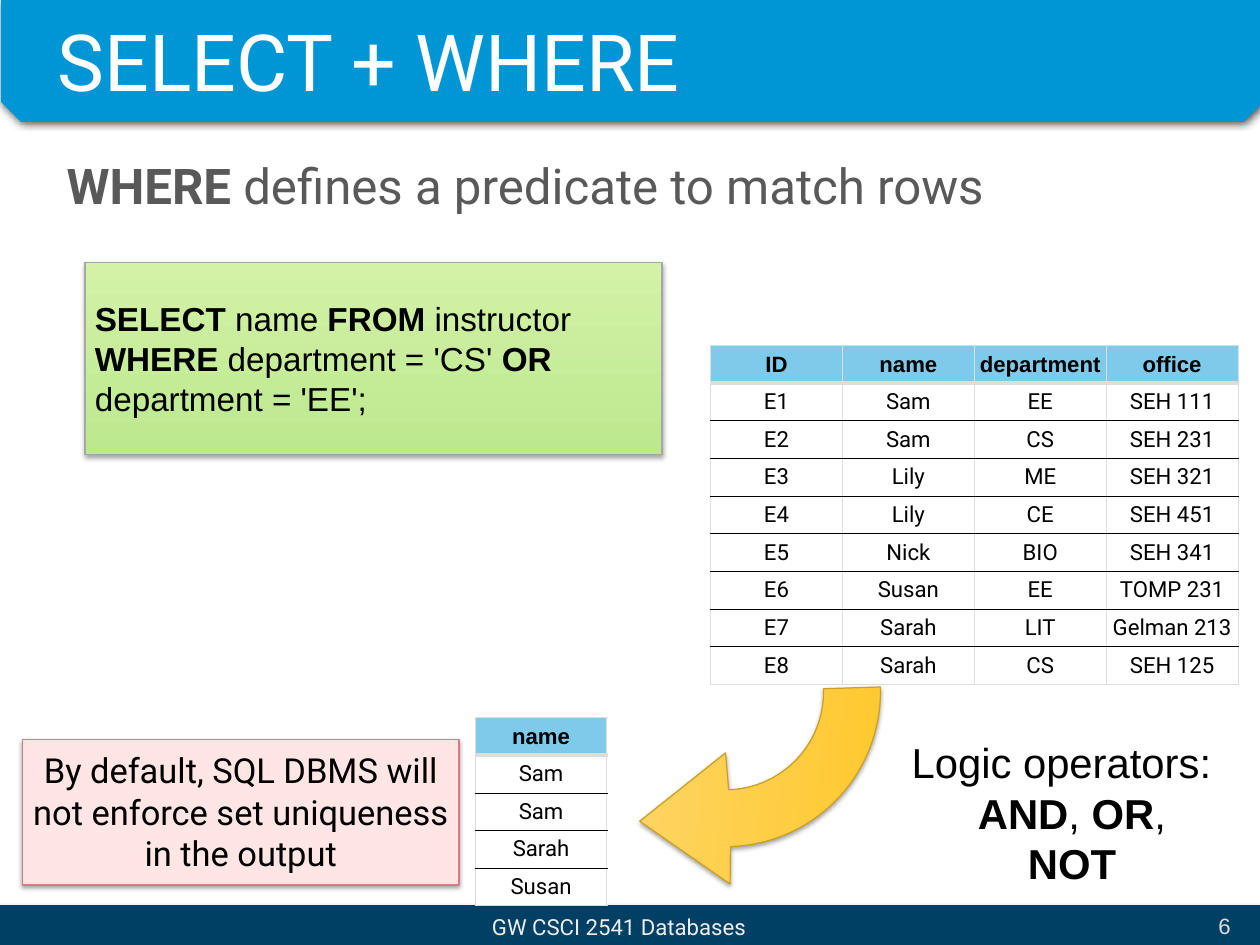
from math import cos, radians, sin

from lxml.etree import SubElement
from pptx import Presentation
from pptx.dml.color import RGBColor as RGB
from pptx.enum.shapes import MSO_SHAPE as Preset
from pptx.enum.text import MSO_ANCHOR as Anchor, PP_ALIGN as Align
from pptx.oxml.ns import qn
from pptx.util import Cm, Pt

# Content: every line is a list of (text, bold) runs
TITLE = [[("SELECT + WHERE", False)]]
LEAD = [[("WHERE", True), (" defines a predicate to match rows", False)]]
QUERY = [[("SELECT", True), (" name ", False), ("FROM", True), (" instructor ", False),
          ("WHERE", True), (" department = 'CS' ", False), ("OR", True),
          (" department = 'EE';", False)]]
OPERATORS = [[("Logic operators:", False)],
             [("AND", True), (", ", False), ("OR", True), (", ", False), ("NOT", True)]]
NOTE = [[("By default, SQL DBMS will not enforce set uniqueness in the output", False)]]
FOOTER = [[("GW CSCI 2541 Databases", False)]]
PAGE = [[("6", False)]]

INSTRUCTORS = [
    ("ID", "name", "department", "office"),
    ("E1", "Sam", "EE", "SEH 111"),
    ("E2", "Sam", "CS", "SEH 231"),
    ("E3", "Lily", "ME", "SEH 321"),
    ("E4", "Lily", "CE", "SEH 451"),
    ("E5", "Nick", "BIO", "SEH 341"),
    ("E6", "Susan", "EE", "TOMP 231"),
    ("E7", "Sarah", "LIT", "Gelman 213"),
    ("E8", "Sarah", "CS", "SEH 125"),
]
RESULT = [("name",), ("Sam",), ("Sam",), ("Sarah",), ("Susan",)]


class Theme:
    HEADING, BODY = "Roboto", "Arial"
    BLUE, NAVY, SKY = "0096D6", "004065", "7ECAEA"
    BLACK, WHITE, GREY = "000000", "FFFFFF", "595959"
    FOOTER, PAGE, GRID = "EEEEEE", "DDDDDD", "DDDDDD"
    GREEN, GREEN_LINE = ("BCE88F", "D3F2A6"), "A7A7A7"
    GOLD, GOLD_LINE = ("FFC82E", "FED562"), "CB9E24"
    PINK, PINK_LINE = "FFE6E5", "D97B85"
    TITLE_SIZE, LEAD_SIZE, OPERATOR_SIZE = 64, 40, 34
    NOTE_SIZE, QUERY_SIZE, SMALL_SIZE = 28, 27, 18


# Table measures in cm, rules as (colour, points)
COLUMN, ROW = 3.78, 1.08
OUTER_RULE, HEADER_RULE, INNER_RULE = (Theme.GRID, 1), (Theme.GRID, 4), (Theme.BLACK, 0.75)

# Curved arrow in cm
ARC_CENTRE, OUTER_RADIUS, INNER_RADIUS = (20.8, 19.84), 4.44, 2.81
ARC_START, ARC_SWEEP, ARC_STEPS = -1.8, 90, 30
ARROW_HEAD = [(20.8, 21.59), (18.34, 23.55), (20.93, 25.35)]


def add_run(paragraph, text, font, size, color, bold=False):
    run = paragraph.add_run()
    run.text = text
    run.font.name, run.font.size, run.font.bold = font, Pt(size), bold
    run.font.color.rgb = RGB.from_string(color)


def write(shape, lines, font, size, color, inset, align=Align.LEFT, anchor=Anchor.MIDDLE):
    frame = shape.text_frame
    frame.word_wrap, frame.vertical_anchor = True, anchor
    frame.margin_left = frame.margin_right = Cm(inset)
    frame.margin_top = frame.margin_bottom = Cm(inset)
    for index, runs in enumerate(lines):
        paragraph = frame.add_paragraph() if index else frame.paragraphs[0]
        paragraph.alignment = align
        for text, bold in runs:
            add_run(paragraph, text, font, size, color, bold)
    return frame


def add_text(box, *style, **layout):
    return write(slide.shapes.add_textbox(*map(Cm, box)), *style, **layout)


def paint(shape, fill, line, angle=0, shadow=(37, 4, 2, 90)):
    """Fill is one colour or a pair; shadow is opacity %, blur pt, distance pt, degrees."""
    if isinstance(fill, tuple):
        shape.fill.gradient()
        shape.fill.gradient_angle = angle
        for stop, color in zip(shape.fill.gradient_stops, fill):
            stop.color.rgb = RGB.from_string(color)
    else:
        shape.fill.solid()
        shape.fill.fore_color.rgb = RGB.from_string(fill)
    shape.line.color.rgb, shape.line.width = RGB.from_string(line), Pt(1)
    shape.shadow.inherit = False
    opacity, blur, distance, direction = shadow
    outer = SubElement(shape.element.spPr.find(qn("a:effectLst")), qn("a:outerShdw"),
                       blurRad=str(Pt(blur)), dist=str(Pt(distance)),
                       dir=str(direction * 60000), algn="bl", rotWithShape="0")
    color = SubElement(outer, qn("a:srgbClr"), val=Theme.BLACK)
    SubElement(color, qn("a:alpha"), val=str(opacity * 1000))


def add_box(box, *colors, **effects):
    shape = slide.shapes.add_shape(Preset.RECTANGLE, *map(Cm, box))
    paint(shape, *colors, **effects)
    return shape


def add_outline(points):
    corners = [(Cm(x), Cm(y)) for x, y in points]
    builder = slide.shapes.build_freeform(*corners[0], scale=1)
    builder.add_line_segments(corners[1:], close=True)
    return builder.convert_to_shape()


def arc(radius):
    angles = [radians(ARC_START + ARC_SWEEP * step / ARC_STEPS) for step in range(ARC_STEPS + 1)]
    return [(ARC_CENTRE[0] + radius * cos(a), ARC_CENTRE[1] + radius * sin(a)) for a in angles]


def set_borders(cell, rules):
    properties = cell._tc.get_or_add_tcPr()
    for index, (side, (color, width)) in enumerate(zip("LRTB", rules)):
        line = SubElement(properties, qn(f"a:ln{side}"), w=str(Pt(width)))
        SubElement(SubElement(line, qn("a:solidFill")), qn("a:srgbClr"), val=color)
        properties.insert(index, line)


def add_grid(left, top, rows):
    count, width = len(rows), len(rows[0])
    table = slide.shapes.add_table(count, width, Cm(left), Cm(top),
                                   Cm(COLUMN * width), Cm(ROW * count)).table
    table.horz_banding = False
    rules = [OUTER_RULE, HEADER_RULE] + [INNER_RULE] * (count - 2) + [OUTER_RULE]
    for r, values in enumerate(rows):
        header = r == 0
        for c, value in enumerate(values):
            cell = table.cell(r, c)
            cell.vertical_anchor = Anchor.MIDDLE
            cell.margin_left = cell.margin_right = cell.margin_top = cell.margin_bottom = 0
            cell.fill.solid()
            cell.fill.fore_color.rgb = RGB.from_string(Theme.SKY if header else Theme.WHITE)
            set_borders(cell, (OUTER_RULE, OUTER_RULE, rules[r], rules[r + 1]))
            paragraph = cell.text_frame.paragraphs[0]
            paragraph.alignment = Align.CENTER
            add_run(paragraph, value, Theme.BODY if header else Theme.HEADING,
                    Theme.SMALL_SIZE, Theme.BLACK, header)


presentation = Presentation()
presentation.slide_width, presentation.slide_height = Cm(36.12), Cm(27.1)
slide = presentation.slides.add_slide(presentation.slide_layouts[6])

# Header and footer bands
header_band = add_outline([(0.05, 0), (36.2, 0), (36.2, 2.92), (35.64, 3.48),
                           (0.61, 3.48), (0.05, 2.92)])
paint(header_band, Theme.BLUE, Theme.BLUE, shadow=(71, 7, 0, 0))
add_box((-0.03, 25.98, 36.17, 1.14), Theme.NAVY, Theme.NAVY)
add_text((2.67, 25.83, 30.15, 1.5), FOOTER, Theme.HEADING, Theme.SMALL_SIZE, Theme.FOOTER,
         0.36, align=Align.CENTER)
add_text((34.52, 25.83, 1.12, 1.45), PAGE, Theme.BODY, Theme.SMALL_SIZE, Theme.PAGE,
         0.36, align=Align.RIGHT)

# Title and lead sentence
add_text((1.3, 0, 33.66, 3.45), TITLE, Theme.HEADING, Theme.TITLE_SIZE, Theme.WHITE, 0.36)
lead = add_text((1.55, 3.84, 33.96, 21.77), LEAD, Theme.HEADING, Theme.LEAD_SIZE, Theme.GREY,
                0.36, anchor=Anchor.TOP)
lead.paragraphs[0].line_spacing = 1.15

# Query and the table it reads
query_box = add_box((2.44, 7.52, 16.54, 5.51), Theme.GREEN, Theme.GREEN_LINE, angle=90,
                    shadow=(34, 4, 2, 90))
write(query_box, QUERY, Theme.BODY, Theme.QUERY_SIZE, Theme.BLACK, 0.28)
add_grid(20.37, 9.91, INSTRUCTORS)

# Arrow to the result table
arrow = add_outline(arc(OUTER_RADIUS) + ARROW_HEAD[::-1] + arc(INNER_RADIUS)[::-1])
paint(arrow, Theme.GOLD, Theme.GOLD_LINE, angle=176)
add_grid(13.62, 20.58, RESULT)

# Logic operators, each line nudged off centre
operators = add_text((25.86, 20.96, 9.5, 3.07), OPERATORS, Theme.BODY, Theme.OPERATOR_SIZE,
                     Theme.BLACK, 0.18, align=Align.CENTER, anchor=Anchor.TOP)
for paragraph, side, indent in zip(operators.paragraphs, ("marR", "marL"), (0.36, 0.6)):
    paragraph._p.get_or_add_pPr().set(side, str(Cm(indent)))

# Note on duplicates
note_box = add_box((0.64, 21.21, 12.52, 4.17), Theme.PINK, Theme.PINK_LINE)
write(note_box, NOTE, Theme.HEADING, Theme.NOTE_SIZE, Theme.BLACK, 0.28,
      align=Align.CENTER, anchor=Anchor.TOP)

presentation.save("out.pptx")
